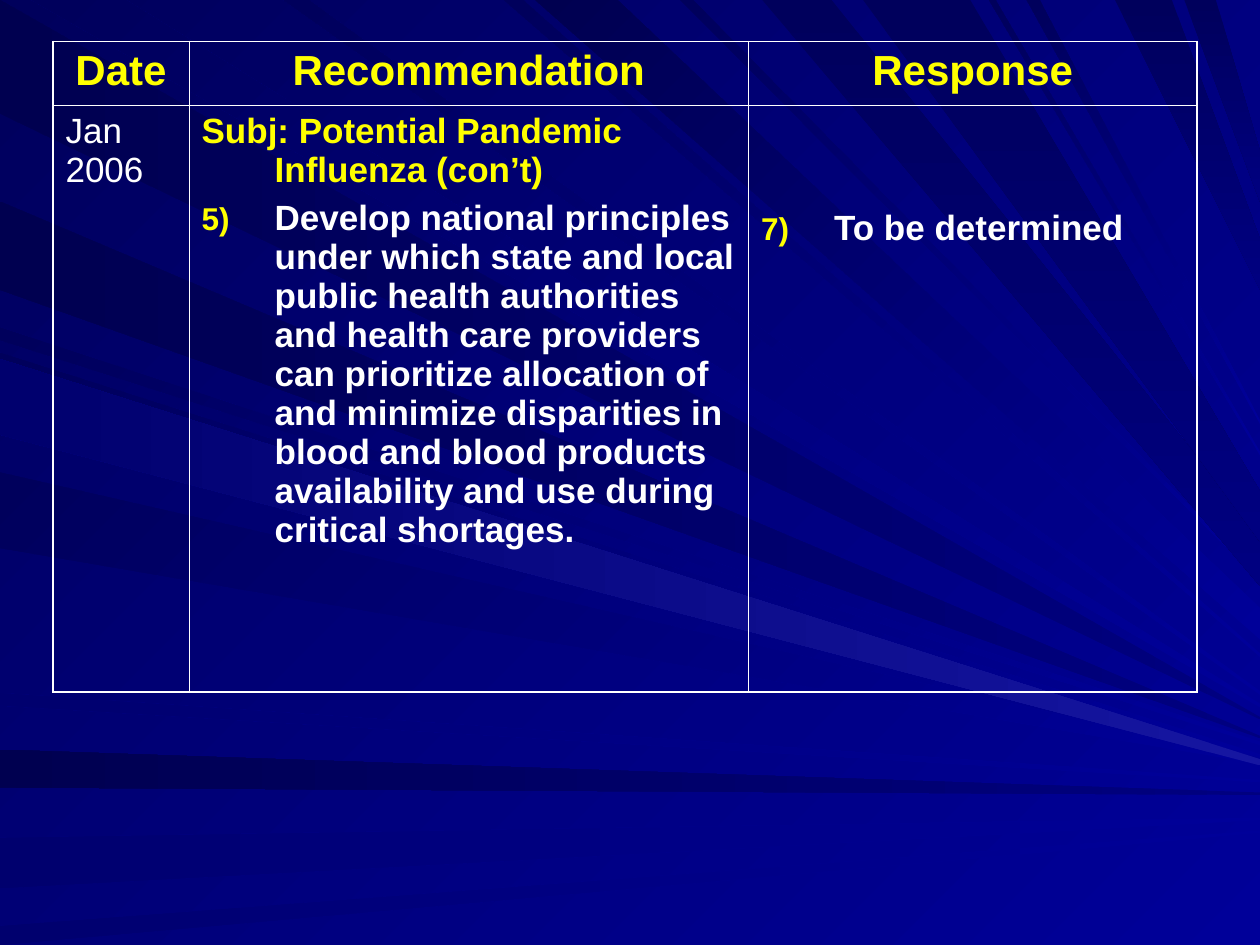
from lxml import etree
from pptx import Presentation
from pptx.dml.color import RGBColor
from pptx.enum.text import PP_ALIGN
from pptx.oxml.ns import qn
from pptx.util import Inches, Pt

CENTER, LEFT = PP_ALIGN.CENTER, PP_ALIGN.LEFT
WIDTH, HEIGHT = 10, 7.5
FONT = "Arial"
COLORS = {
    "white": "FFFFFF", "yellow": "FFFF00", "royal": "000099", "navy": "000080",
    "glow": "1616A1", "dim": "00006E", "dusk": "00005C", "deep": "000050",
}

# Ray styles: first colour, last colour, clockwise angle, width at the right edge
STYLES = {
    "beam": ("royal", "dusk", 225, 0.03),
    "wide": ("royal", "deep", 225, 0.25),
    "band": ("navy", "deep", 180, 0.02),
    "soft": ("royal", "dim", 180, 0.02),
    "glow": ("glow", "dim", 180, 0.05),
    "shaft": ("dusk", "navy", 90, 0.4),
}

# Rays, back to front: style, edge they start from, start and end there, height at the right edge
RAYS = [
    ("band", "left", 0, 0.9, 5.7),
    ("beam", "top", 0.25, 1, 5.6),
    ("band", "left", 5.95, 6.25, 6.3),
    ("soft", "left", 6.65, 7.05, 6.5),
    ("soft", "left", 7.35, 7.5, 6.6),
    ("beam", "left", 2.6, 2.7, 5.9),
    ("band", "left", 1.6, 2.3, 5.85),
    ("beam", "top", 4, 4.15, 5.2),
    ("wide", "top", 4.25, 4.9, 4.95),
    ("beam", "top", 5.4, 5.5, 4.6),
    ("shaft", "top", 6.05, 6.6, 4.45),
    ("shaft", "top", 8.85, 9.3, 2.1),
    ("shaft", "top", 9.4, 9.65, 1.4),
    ("beam", "left", 2.8, 3.4, 6),
    ("beam", "left", 3.75, 4.35, 6.05),
    ("soft", "left", 5.5, 5.6, 6.2),
    ("beam", "top", 2.25, 2.45, 5.5),
    ("shaft", "top", 6.85, 7.7, 4.1),
    ("beam", "top", 7.85, 7.9, 3.6),
    ("beam", "top", 8.15, 8.25, 3.35),
    ("glow", "left", 2.85, 3.45, 6.05),
]

TABLE_LEFT, TABLE_TOP = 0.42, 0.33
COLUMNS, ROWS = [1.08, 4.44, 3.56], [0.51, 4.65]
OUTER, INNER = 1.08, 0.45
HANG = 0.58

HEADER = {"size": 24, "color": "yellow", "bold": True, "align": CENTER}
PLAIN = {"size": 20, "color": "white", "bold": False}
SUBJECT = {"size": 20, "color": "yellow", "bold": True, "hang": True}
ITEM = {"size": 20, "color": "white", "bold": True, "hang": True}

# Each cell: top margin, then its paragraphs as (text, style, item number)
CELLS = [
    [(0.05, [(title, HEADER, None)]) for title in ("Date", "Recommendation", "Response")],
    [
        (0.05, [("Jan 2006", PLAIN, None)]),
        (0.05, [
            ("Subj: Potential Pandemic Influenza (con’t)", SUBJECT, None),
            ("Develop national principles under which state and local public health "
             "authorities and health care providers can prioritize allocation of and "
             "minimize disparities in blood and blood products availability and use "
             "during critical shortages.", ITEM, 5),
        ]),
        (0.82, [("To be determined", ITEM, 7)]),
    ],
]


def rgb(name):
    return RGBColor.from_string(COLORS[name])


def paint(fill, first, last, angle):
    """Fill with a two-colour gradient at a clockwise angle."""
    fill.gradient()
    fill.gradient_angle = 360 - angle
    for stop, name in zip(fill.gradient_stops, (first, last)):
        stop.color.rgb = rgb(name)


def add_ray(slide, style, edge, start, end, target):
    first, last, angle, spread = STYLES[style]
    if edge == "left":
        base = [(0, end), (0, start)]
    else:
        base = [(start, 0), (end, 0)]
    tip = [(WIDTH, target - spread / 2), (WIDTH, target + spread / 2)]
    points = [(Inches(x), Inches(y)) for x, y in base + tip]
    builder = slide.shapes.build_freeform(*points[0], scale=1.0)
    builder.add_line_segments(points[1:], close=True)
    ray = builder.convert_to_shape()
    ray.shadow.inherit = False
    ray.line.fill.background()
    paint(ray.fill, first, last, angle)


def set_borders(cell, row, column):
    at_edge = {"lnL": column == 0, "lnR": column == len(COLUMNS) - 1,
               "lnT": row == 0, "lnB": row == len(ROWS) - 1}
    properties = cell._tc.get_or_add_tcPr()
    for position, (side, is_outer) in enumerate(at_edge.items()):
        line = etree.Element(qn("a:" + side), w=str(Pt(OUTER if is_outer else INNER)))
        solid = etree.SubElement(line, qn("a:solidFill"))
        etree.SubElement(solid, qn("a:srgbClr"), val=COLORS["white"])
        properties.insert(position, line)


def format_paragraph(paragraph, style, number):
    properties = paragraph._p.get_or_add_pPr()
    if style.get("hang"):
        properties.set("marL", str(Inches(HANG)))
        properties.set("indent", str(-Inches(HANG)))
    if number:
        color = etree.SubElement(properties, qn("a:buClr"))
        etree.SubElement(color, qn("a:srgbClr"), val=COLORS["yellow"])
        etree.SubElement(properties, qn("a:buSzPct"), val="90000")
        etree.SubElement(properties, qn("a:buAutoNum"), type="arabicParenR", startAt=str(number))
    paragraph.alignment = style.get("align", LEFT)


def fill_cell(cell, top, paragraphs):
    cell.fill.background()
    cell.margin_left = cell.margin_right = Inches(0.1)
    cell.margin_top, cell.margin_bottom = Inches(top), Inches(0.05)
    frame = cell.text_frame
    for index, (text, style, number) in enumerate(paragraphs):
        paragraph = frame.add_paragraph() if index else frame.paragraphs[0]
        format_paragraph(paragraph, style, number)
        if index:
            paragraph.space_before = Pt(5)
        span = paragraph.add_run()
        span.text = text
        span.font.name = FONT
        span.font.size = Pt(style["size"])
        span.font.bold = style["bold"]
        span.font.color.rgb = rgb(style["color"])


def add_recommendations(slide):
    frame = slide.shapes.add_table(
        len(ROWS), len(COLUMNS), Inches(TABLE_LEFT), Inches(TABLE_TOP),
        Inches(sum(COLUMNS)), Inches(sum(ROWS)))
    table = frame.table
    table.first_row = table.horz_banding = False
    for column, width in zip(table.columns, COLUMNS):
        column.width = Inches(width)
    for row, height in zip(table.rows, ROWS):
        row.height = Inches(height)
    for row, contents in enumerate(CELLS):
        for column, (top, paragraphs) in enumerate(contents):
            cell = table.cell(row, column)
            fill_cell(cell, top, paragraphs)
            set_borders(cell, row, column)


def main():
    deck = Presentation()
    deck.slide_width, deck.slide_height = Inches(WIDTH), Inches(HEIGHT)
    slide = deck.slides.add_slide(deck.slide_layouts[6])
    paint(slide.background.fill, "royal", "dusk", 225)
    for ray in RAYS:
        add_ray(slide, *ray)
    add_recommendations(slide)
    deck.save("out.pptx")


if __name__ == "__main__":
    main()
